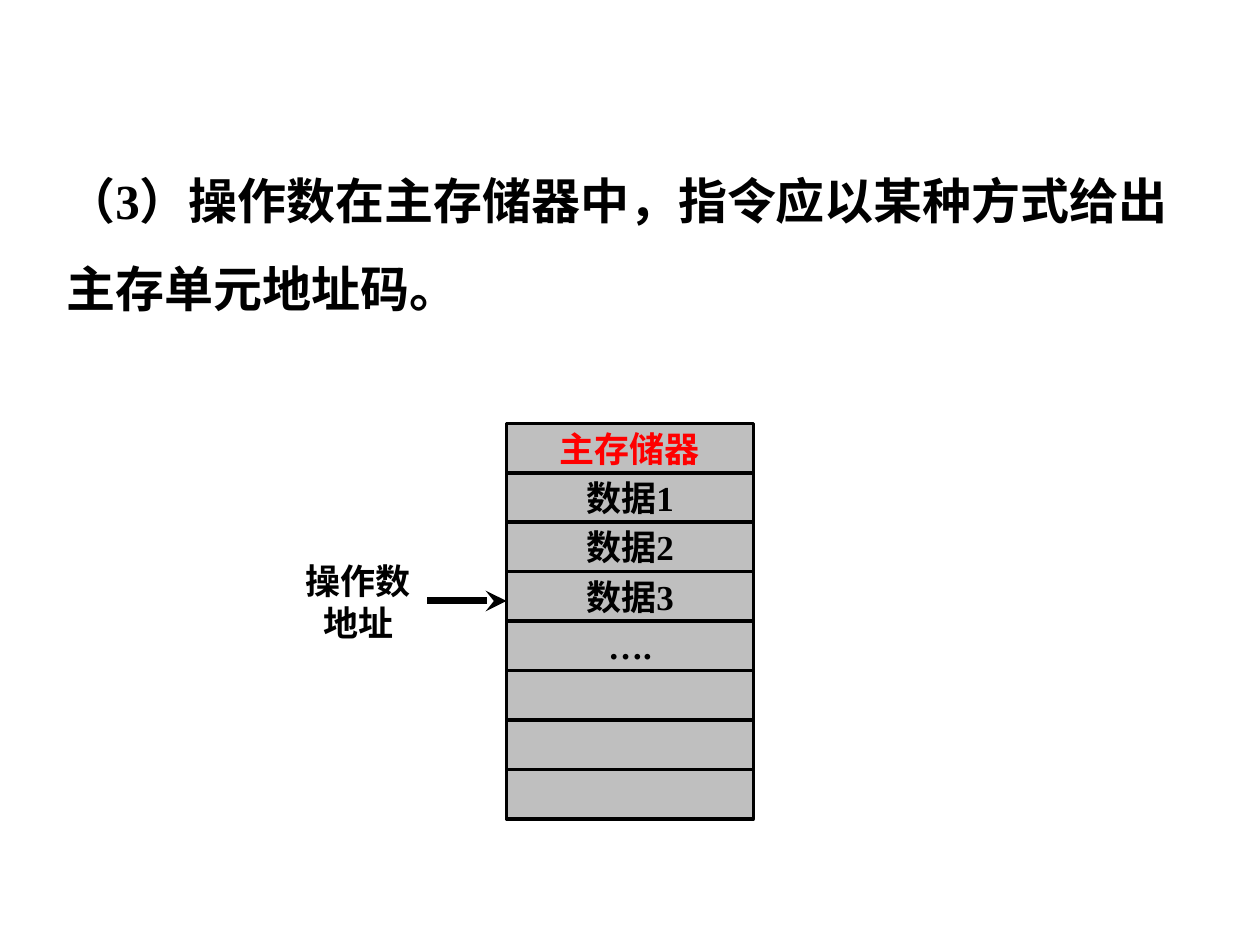
from dataclasses import dataclass

from lxml.etree import SubElement
from pptx import Presentation
from pptx.dml.color import RGBColor
from pptx.enum.shapes import MSO_CONNECTOR as Connector, MSO_SHAPE as Shape
from pptx.enum.text import MSO_ANCHOR as Anchor, PP_ALIGN as Align
from pptx.oxml.ns import qn
from pptx.util import Inches, Pt

BLACK = RGBColor(0x00, 0x00, 0x00)
RED = RGBColor(0xFF, 0x00, 0x00)
GRAY = RGBColor(0xBF, 0xBF, 0xBF)
FONT = "Times New Roman"


@dataclass(frozen=True)
class Cell:
    text: str = ""
    color: RGBColor = BLACK


@dataclass(frozen=True)
class Column:
    """A stack of equal rows, in inches."""
    left: float
    top: float
    width: float
    height: float
    cells: tuple[Cell, ...]

    @property
    def row_height(self) -> float:
        return self.height / len(self.cells)


MEMORY = Column(4.02, 3.36, 1.96, 3.14, (
    Cell("主存储器", RED), Cell("数据1"), Cell("数据2"), Cell("数据3"),
    Cell("…."), Cell(), Cell(), Cell(),
))


def write(frame, *lines: str, size: float = 20, color: RGBColor = BLACK,
          align: Align = Align.LEFT, spacing: float = 1.0,
          anchor: Anchor = Anchor.TOP, wrap: bool = True) -> None:
    frame.word_wrap = wrap
    frame.vertical_anchor = anchor
    for index, line in enumerate(lines):
        para = frame.add_paragraph() if index else frame.paragraphs[0]
        para.alignment = align
        para.line_spacing = spacing
        span = para.add_run()
        span.text = line
        span.font.name = FONT
        span.font.size = Pt(size)
        span.font.bold = True
        span.font.color.rgb = color


def add_text(page, left: float, top: float, width: float, height: float,
             *lines: str, **text_format) -> None:
    box = page.shapes.add_textbox(*map(Inches, (left, top, width, height)))
    write(box.text_frame, *lines, **text_format)


def draw_column(page, column: Column) -> None:
    for row, cell in enumerate(column.cells):
        top = column.top + row * column.row_height
        box = page.shapes.add_shape(Shape.RECTANGLE, *map(
            Inches, (column.left, top, column.width, column.row_height)))
        box.shadow.inherit = False
        box.fill.solid()
        box.fill.fore_color.rgb = GRAY
        box.line.color.rgb = BLACK
        box.line.width = Pt(2)
        if cell.text:
            write(box.text_frame, cell.text, color=cell.color,
                  align=Align.CENTER, anchor=Anchor.MIDDLE)


def draw_arrow(page, start: float, end: float, level: float) -> None:
    arrow = page.shapes.add_connector(
        Connector.STRAIGHT, *map(Inches, (start, level, end, level)))
    arrow.line.color.rgb = BLACK
    arrow.line.width = Pt(4)
    SubElement(arrow.line._get_or_add_ln(), qn("a:tailEnd"), type="stealth")
    SubElement(arrow._element.spPr, qn("a:effectLst"))


def main() -> None:
    deck = Presentation()
    deck.slide_width, deck.slide_height = Inches(10), Inches(7.5)
    page = deck.slides.add_slide(deck.slide_layouts[6])
    add_text(page, 0.43, 1.07, 9.13, 1.43,
             "（3）操作数在主存储器中，指令应以某种方式给出主存单元地址码。",
             size=28, spacing=1.5)
    draw_column(page, MEMORY)
    add_text(page, 2.32, 4.39, 1.05, 0.77, "操作数", "地址",
             align=Align.CENTER, wrap=False)
    draw_arrow(page, 3.39, MEMORY.left, 4.77)
    deck.save("out.pptx")


if __name__ == "__main__":
    main()
